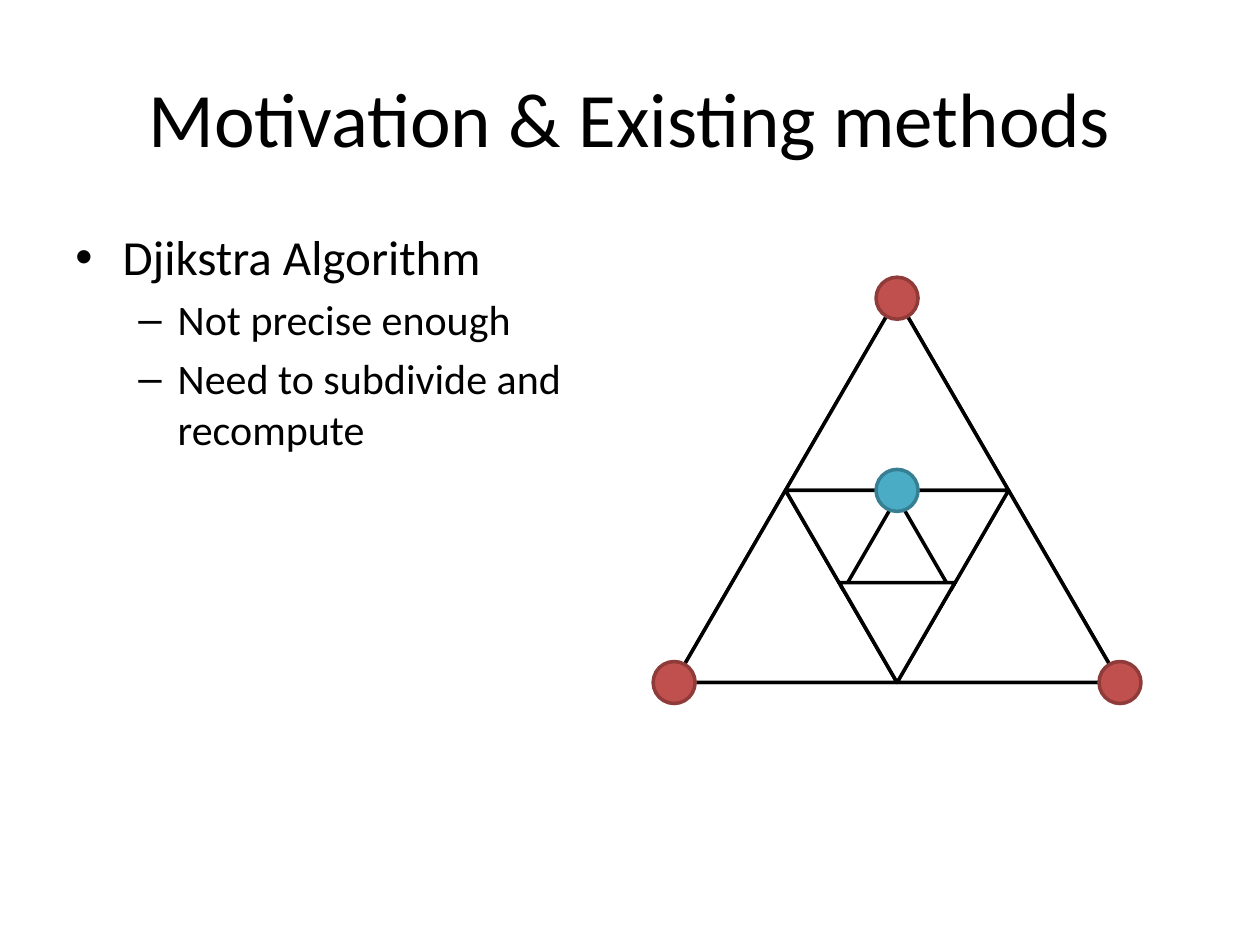
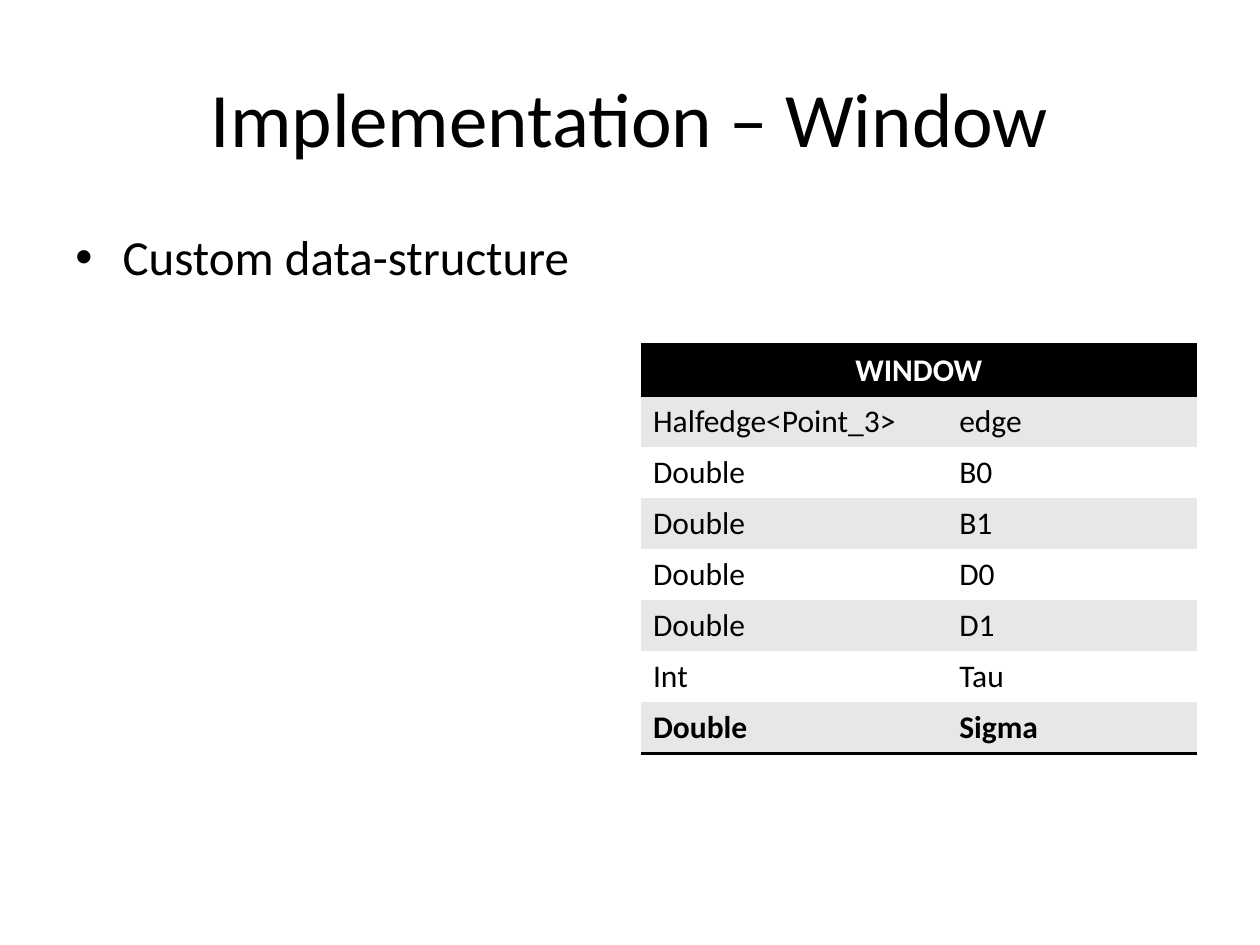
from dataclasses import dataclass

from lxml import etree
from pptx import Presentation
from pptx.dml.color import RGBColor
from pptx.enum.shapes import MSO_SHAPE
from pptx.enum.text import MSO_ANCHOR, PP_ALIGN
from pptx.oxml.ns import qn
from pptx.util import Pt

TRIANGLE, OVAL = MSO_SHAPE.ISOSCELES_TRIANGLE, MSO_SHAPE.OVAL
TOP, MIDDLE = MSO_ANCHOR.TOP, MSO_ANCHOR.MIDDLE
LEFT, CENTER = PP_ALIGN.LEFT, PP_ALIGN.CENTER
PLAIN = "{2D5ABB26-0587-4C30-8999-92F81FD0307C}"


@dataclass(frozen=True)
class Theme:
    font: str = "Calibri"
    black: str = "000000"
    white: str = "FFFFFF"
    band: str = "E7E7E7"
    red: str = "C0504D"
    maroon: str = "8E3B39"
    aqua: str = "4BACC6"
    teal: str = "377F92"
    title: int = 44
    body: int = 28
    sub: int = 24
    cell: int = 18
    line: int = 2


THEME = Theme()
LEVELS = [("•", THEME.body, 27, 27), ("–", THEME.sub, 58.5, 22.5)]


def paint(fill, color):
    fill.solid()
    fill.fore_color.rgb = RGBColor.from_string(color)


def write(para, text, size, color=THEME.black, bold=False, align=LEFT):
    para.alignment = align
    run = para.add_run()
    run.text = text
    font = run.font
    font.name, font.size, font.bold = THEME.font, Pt(size), bold
    font.color.rgb = RGBColor.from_string(color)


def add_frame(slide, left, top, width, height, anchor=TOP):
    box = slide.shapes.add_textbox(Pt(left), Pt(top), Pt(width), Pt(height))
    frame = box.text_frame
    frame.word_wrap = True
    frame.vertical_anchor = anchor
    return frame


def set_bullet(para, sign, margin, hang):
    props = para._p.get_or_add_pPr()
    props.set("marL", str(Pt(margin)))
    props.set("indent", str(-Pt(hang)))
    etree.SubElement(props, qn("a:buFont")).set("typeface", "Arial")
    etree.SubElement(props, qn("a:buChar")).set("char", sign)


def add_slide(deck, title, points):
    slide = deck.slides.add_slide(deck.slide_layouts[6])
    head = add_frame(slide, 36, 21.6, 648, 90, MIDDLE)
    write(head.paragraphs[0], title, THEME.title, align=CENTER)
    body = add_frame(slide, 36, 126, 318, 356.4)
    for order, (level, text) in enumerate(points):
        para = body.add_paragraph() if order else body.paragraphs[0]
        sign, size, margin, hang = LEVELS[level]
        para.level = level
        para.space_before = Pt(size * 0.2)
        write(para, text, size)
        set_bullet(para, sign, margin, hang)
    return slide


def add_form(slide, kind, left, top, width, height, fill, line, turn=0):
    form = slide.shapes.add_shape(kind, Pt(left), Pt(top), Pt(width), Pt(height))
    form.shadow.inherit = False
    form.rotation = turn
    paint(form.fill, fill)
    paint(form.line.fill, line)
    form.line.width = Pt(THEME.line)


def add_face(slide, left, top, width, height, turn=0):
    add_form(slide, TRIANGLE, left, top, width, height, THEME.white, THEME.black, turn)


def add_dot(slide, x, y, fill, line):
    size = 24
    add_form(slide, OVAL, x - size / 2, y - size / 2, size, size, fill, line)


def draw_mesh(slide):
    left, top, width, height = 385.2, 170.4, 254.8, 219.6
    half, rise = width / 2, height / 2
    mid, waist, base = left + half, top + rise, top + height
    add_face(slide, left, top, width, height)
    for x, y in [(left, waist), (mid, waist), (left + half / 2, top)]:
        add_face(slide, x, y, half, rise)
    for x, y in [(mid, top), (left + width, base), (left, base)]:
        add_dot(slide, x, y, THEME.red, THEME.maroon)
    side, drop = 66, 57
    inner = [
        (mid - half / 2, waist),
        (mid + half / 2 - side, waist),
        (mid - side / 2, base - drop),
    ]
    for x, y in inner:
        add_face(slide, x, y, side, drop, 180)
    add_dot(slide, mid, waist, THEME.aqua, THEME.teal)


def add_edge(cell, tag):
    props = cell._tc.get_or_add_tcPr()
    edge = etree.Element(qn(tag), w=str(Pt(THEME.line)))
    fill = etree.SubElement(edge, qn("a:solidFill"))
    etree.SubElement(fill, qn("a:srgbClr")).set("val", THEME.black)
    props.insert(0, edge)


def fill_cell(cell, text, fill, **style):
    paint(cell.fill, fill)
    write(cell.text_frame.paragraphs[0], text, THEME.cell, **style)


def add_fields(slide, title, fields):
    count = len(fields) + 1
    high = 29.2
    frame = slide.shapes.add_table(
        count, 2, Pt(366), Pt(197), Pt(318), Pt(high * count))
    table = frame.table
    table._tbl.tblPr.find(qn("a:tableStyleId")).text = PLAIN
    for column, width in zip(table.columns, (175, 143)):
        column.width = Pt(width)
    for row in table.rows:
        row.height = Pt(high)
    head = table.cell(0, 0)
    head.merge(table.cell(0, 1))
    fill_cell(head, title, THEME.black, color=THEME.white, bold=True, align=CENTER)
    for spot in range(2):
        for tag in ("a:lnB", "a:lnT"):
            add_edge(table.cell(0, spot), tag)
    for row, pair in enumerate(fields, 1):
        last = row == count - 1
        fill = THEME.band if row % 2 else THEME.white
        for spot, text in enumerate(pair):
            cell = table.cell(row, spot)
            fill_cell(cell, text, fill, bold=last)
            if last:
                add_edge(cell, "a:lnB")


def main():
    deck = Presentation()
    deck.slide_width, deck.slide_height = Pt(720), Pt(540)
    slide = add_slide(deck, "Motivation & Existing methods", [
        (0, "Djikstra Algorithm"),
        (1, "Not precise enough"),
        (1, "Need to subdivide and recompute"),
    ])
    draw_mesh(slide)
    slide = add_slide(deck, "Implementation – Window", [(0, "Custom data-structure")])
    add_fields(slide, "WINDOW", [
        ("Halfedge<Point_3>", "edge"),
        ("Double", "B0"),
        ("Double", "B1"),
        ("Double", "D0"),
        ("Double", "D1"),
        ("Int", "Tau"),
        ("Double", "Sigma"),
    ])
    deck.save("out.pptx")


if __name__ == "__main__":
    main()
